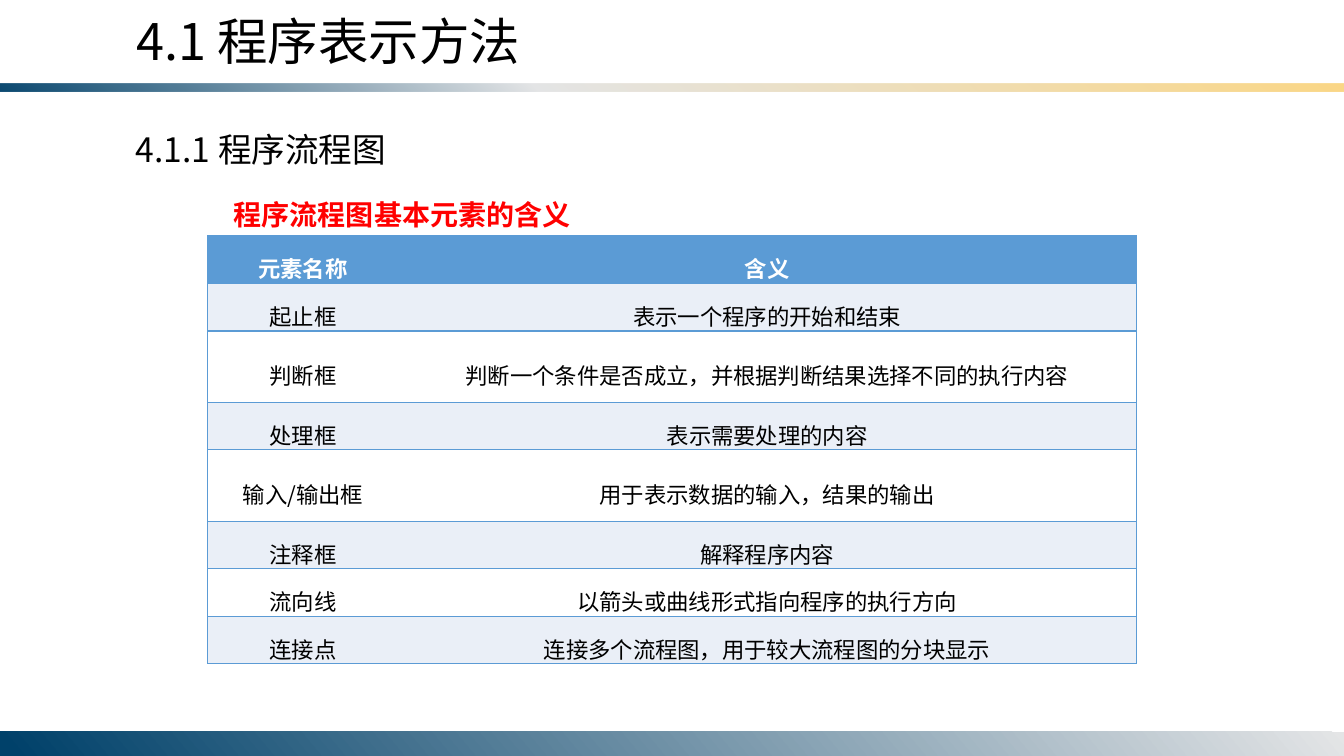
from lxml.etree import SubElement
from pptx import Presentation
from pptx.dml.color import RGBColor
from pptx.enum.shapes import MSO_SHAPE
from pptx.enum.text import MSO_ANCHOR, PP_ALIGN
from pptx.oxml.ns import qn
from pptx.util import Inches, Pt

FONT = "Noto Sans CJK SC"
HEX = {"navy": "00416A", "mist": "E4E5E6", "gold": "FBD786", "blue": "5B9BD5",
       "pale": "EAEFF7", "white": "FFFFFF", "black": "000000", "red": "FF0000"}
WIDE, HIGH = 13.33, 7.5

TITLE = "4.1 程序表示方法"
TOPIC = "4.1.1 程序流程图"
LABEL = "程序流程图基本元素的含义"
ROWS = [
    ("元素名称", "含义", 1),
    ("起止框", "表示一个程序的开始和结束", 1),
    ("判断框", "判断一个条件是否成立，并根据判断结果选择不同的执行内容", 1.5),
    ("处理框", "表示需要处理的内容", 1),
    ("输入/输出框", "用于表示数据的输入，结果的输出", 1.5),
    ("注释框", "解释程序内容", 1),
    ("流向线", "以箭头或曲线形式指向程序的执行方向", 1),
    ("连接点", "连接多个流程图，用于较大流程图的分块显示", 1),
]
COLS = (1.89, 7.32)
UNIT = 0.472
BARS = [
    (0.83, 0.08, 50, True, [(0, "navy", 95), (40, "mist", 100), (100, "gold", 100)]),
    (HIGH - 0.24, 0.24, 140, False, [(0, "mist", 100), (99, "navy", 100)]),
]


def style(para, size, color, bold=False):
    font = para.font
    font.size, font.bold, font.name = Pt(size), bold, FONT
    font.color.rgb = RGBColor.from_string(HEX[color])
    SubElement(para._p.pPr.find(qn("a:defRPr")), qn("a:ea"), typeface=FONT)


def add_bar(slide, top, tall, angle, flip, stops):
    bar = slide.shapes.add_shape(MSO_SHAPE.RECTANGLE, 0, Inches(top), Inches(WIDE), Inches(tall))
    bar.shadow.inherit = False
    bar.line.fill.background()
    bar.fill.gradient()
    bar.fill.gradient_angle = 360 - angle
    props = bar._element.spPr
    if flip:
        props.find(qn("a:xfrm")).set("flipV", "1")
    ramp = props.find(".//" + qn("a:gsLst"))
    for old in list(ramp):
        ramp.remove(old)
    for place, color, alpha in stops:
        stop = SubElement(ramp, qn("a:gs"), pos=str(place * 1000))
        tint = SubElement(stop, qn("a:srgbClr"), val=HEX[color])
        if alpha < 100:
            SubElement(tint, qn("a:alpha"), val=str(alpha * 1000))


def add_text(slide, box, text, size, color, bold=False, indent=0, space=None):
    shape = slide.shapes.add_textbox(*map(Inches, box))
    shape.text_frame.word_wrap = True
    para = shape.text_frame.paragraphs[0]
    para.text = text
    para.line_spacing = space
    if indent:
        para._p.get_or_add_pPr().set("indent", str(Inches(indent)))
    style(para, size, color, bold)


def add_edges(cell, sides):
    props = cell._tc.get_or_add_tcPr()
    for side in sides:
        line = SubElement(props, qn("a:ln" + side), w=str(Pt(1)))
        SubElement(SubElement(line, qn("a:solidFill")), qn("a:srgbClr"), val=HEX["blue"])


def add_grid(slide, left, top):
    tall = UNIT * sum(row[2] for row in ROWS)
    frame = slide.shapes.add_table(len(ROWS), len(COLS), Inches(left), Inches(top),
                                   Inches(sum(COLS)), Inches(tall))
    table = frame.table
    table._tbl.tblPr.find(qn("a:tableStyleId")).text = "{2D5ABB26-0587-4C30-8999-92F81FD0307C}"
    for col, wide in zip(table.columns, COLS):
        col.width = Inches(wide)
    for i, (name, sense, share) in enumerate(ROWS):
        table.rows[i].height = Inches(UNIT * share)
        fill = "blue" if i == 0 else "pale" if i % 2 else "white"
        for j, text in enumerate((name, sense)):
            cell = table.cell(i, j)
            add_edges(cell, "RTB" if j else "LTB")
            cell.fill.solid()
            cell.fill.fore_color.rgb = RGBColor.from_string(HEX[fill])
            cell.vertical_anchor = MSO_ANCHOR.MIDDLE
            cell.margin_left = cell.margin_right = Inches(0.07)
            cell.margin_top = cell.margin_bottom = 0
            para = cell.text_frame.paragraphs[0]
            para.text = text
            para.alignment = PP_ALIGN.CENTER
            para.line_spacing = 1.5
            style(para, 16, "black" if i else "white", i == 0)


def main():
    deck = Presentation()
    deck.slide_width, deck.slide_height = Inches(WIDE), Inches(HIGH)
    slide = deck.slides.add_slide(deck.slide_layouts[5])
    for bar in BARS:
        add_bar(slide, *bar)
    title = slide.shapes.title
    title.left, title.top, title.width, title.height = map(Inches, (1.25, 0.05, 6.12, 0.71))
    title.text_frame.text = TITLE
    title.text_frame.vertical_anchor = MSO_ANCHOR.TOP
    head = title.text_frame.paragraphs[0]
    head.alignment = PP_ALIGN.LEFT
    style(head, 36, "black")
    add_text(slide, (1.25, 1.23, 2.82, 0.5), TOPIC, 24, "black")
    add_text(slide, (1.72, 1.74, 9.89, 0.6), LABEL, 20, "red", True, 0.5, 1.5)
    add_grid(slide, 2.06, 2.34)
    deck.save("out.pptx")


if __name__ == "__main__":
    main()
